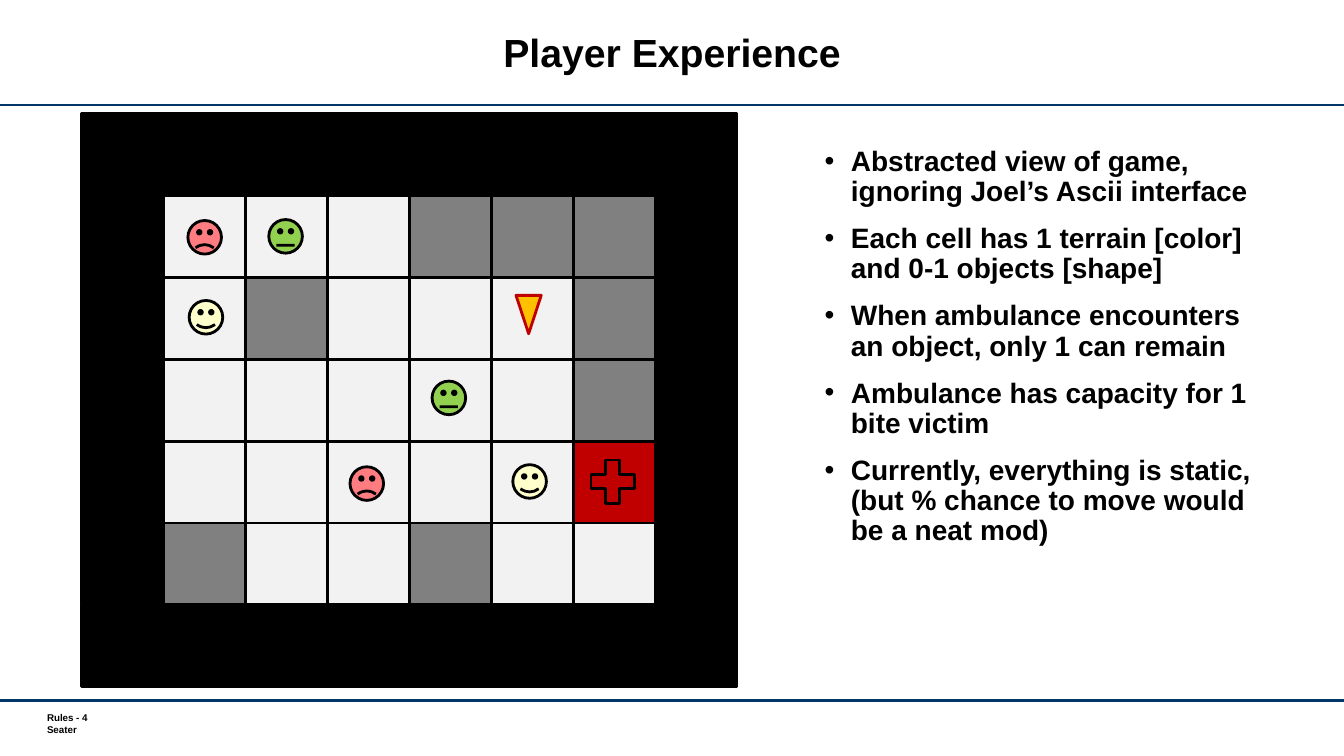
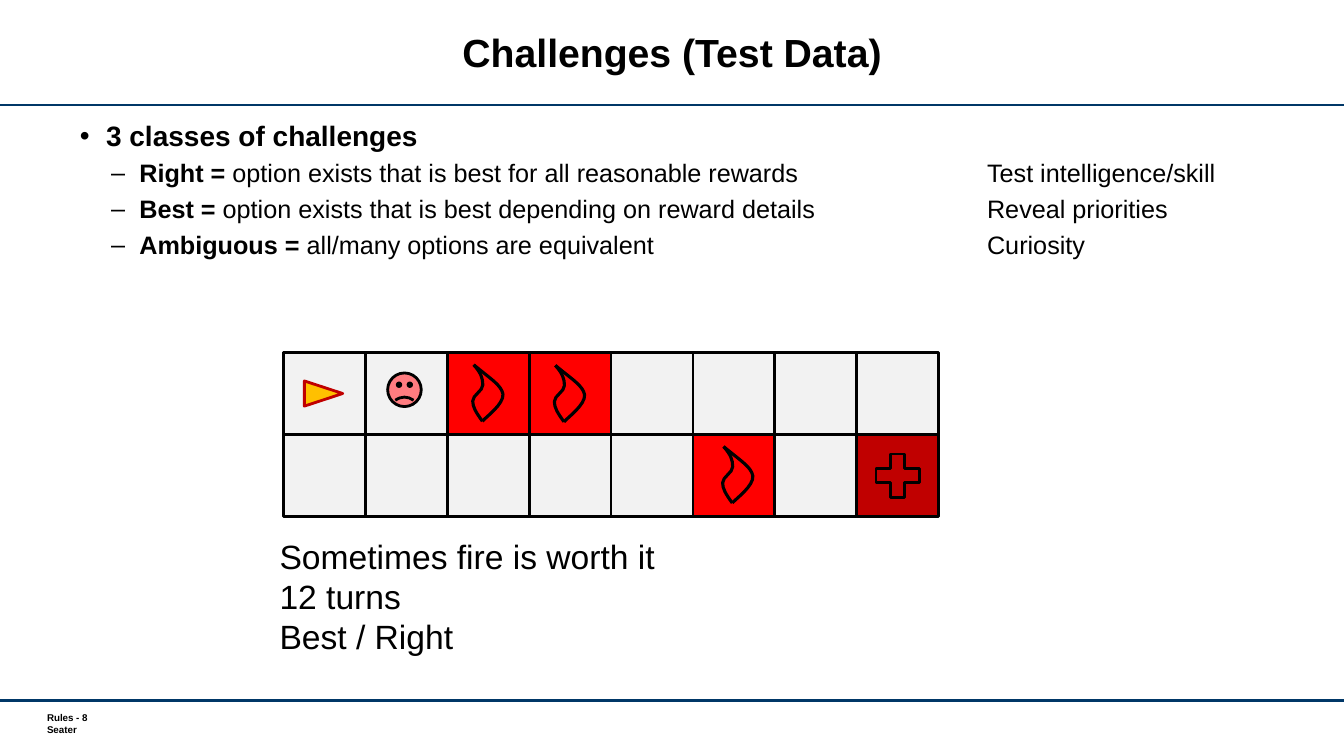
from dataclasses import dataclass

from lxml import etree
from pptx import Presentation
from pptx.dml.color import RGBColor
from pptx.enum import shapes, text
from pptx.oxml import ns
from pptx.util import Pt

KIND = shapes.MSO_SHAPE


@dataclass(frozen=True)
class Theme:
    font: str = "Arial"
    ink: str = "000000"
    rule: str = "003767"
    floor: str = "F2F2F2"
    wall: str = "808080"
    fire: str = "FF0000"
    clinic: str = "C00000"
    car: str = "FFC000"
    sick: str = "FF7C80"
    calm: str = "92D050"
    glad: str = "FFFFCC"
    title: float = 28
    note: float = 24
    body: float = 20
    sub: float = 18
    foot: float = 7
    line: float = 2
    rim: float = 1.75
    flame: float = 2.25


T = Theme()
WIDE, HIGH = 960, 540
CELL = 58.5
TILES = {"#": T.ink, ".": T.floor, "w": T.wall, "f": T.fire, "c": T.clinic}
# Mood: fill and bend of the mouth
MOODS = {"sad": (T.sick, -0.047), "flat": (T.calm, 0), "glad": (T.glad, 0.047)}

# Flame strokes in hundredths of a point: a start, then cubic curves
# of three points each
LEFT = [(70, 0), (580, 580), (720, 940), (720, 1440), (720, 1870),
        (0, 2160), (0, 2590), (0, 3020), (220, 3380), (690, 4030)]
RIGHT = [(70, 0), (1370, 1080), (2020, 1440), (2160, 2090),
         (2230, 2810), (940, 3740), (690, 4030)]


def rgb(code):
    return RGBColor.from_string(code)


def child(parent, tag, **attrs):
    return etree.SubElement(parent, ns.qn(tag), **attrs)


# Text
def box(page, at, pad=None):
    frame = page.shapes.add_textbox(*map(Pt, at)).text_frame
    frame.word_wrap = True
    if pad is not None:
        frame.margin_left = frame.margin_right = Pt(pad)
        frame.margin_top = frame.margin_bottom = Pt(pad)
    return frame


def para(frame, runs, size):
    """Add a paragraph from (words, bold) runs."""
    first = frame.paragraphs[0]
    item = frame.add_paragraph() if first.runs else first
    for words, bold in runs:
        run = item.add_run()
        run.text = words
        run.font.name, run.font.size, run.font.bold = T.font, Pt(size), bold
        run.font.color.rgb = rgb(T.ink)
    return item


def bullet(frame, runs, sub=False, stop=None):
    item = para(frame, runs, T.sub if sub else T.body)
    item.level = int(sub)
    item.line_spacing = 0.9
    item.space_before = Pt(6 if sub else 12)
    left, hang = (42.5, 20.2) if sub else (18.7, 18.7)
    prop = item._p.get_or_add_pPr()
    prop.set("marL", str(Pt(left)))
    prop.set("indent", str(-Pt(hang)))
    child(prop, "a:buFont", typeface=T.font)
    child(prop, "a:buChar", char="–" if sub else "•")
    if stop:
        tabs = child(prop, "a:tabLst")
        child(tabs, "a:tab", pos=str(Pt(stop)), algn="l")


# Shared frame: title, rules and footer
def rule(page, y):
    line = page.shapes.add_connector(
        shapes.MSO_CONNECTOR.STRAIGHT, 0, Pt(y), Pt(WIDE), Pt(y))
    line.line.color.rgb = rgb(T.rule)
    line.line.width = Pt(T.rim)
    child(line._element.spPr, "a:effectLst")


def start(deck, title, num):
    page = deck.slides.add_slide(deck.slide_layouts[6])
    rule(page, 75)
    rule(page, 500.4)
    foot = box(page, (33.6, 508.3, 114.5, 17.3), pad=0)
    for words in (f"Rules - {num}", "Seater"):
        para(foot, [(words, True)], T.foot)
    head = box(page, (99, 7.9, 762, 64.1))
    head.vertical_anchor = text.MSO_ANCHOR.MIDDLE
    item = para(head, [(title, True)], T.title)
    item.alignment = text.PP_ALIGN.CENTER
    item.line_spacing = Pt(T.title)
    return page


# Board and its pieces
def piece(page, kind, at, fill, line=T.ink):
    shape = page.shapes.add_shape(kind, *map(Pt, at))
    shape.shadow.inherit = False
    shape.fill.solid()
    shape.fill.fore_color.rgb = rgb(fill)
    shape.line.color.rgb = rgb(line)
    shape.line.width = Pt(T.line)
    return shape


def board(page, x, y, rows):
    for r, row in enumerate(rows):
        for c, tile in enumerate(row):
            at = (x + c * CELL, y + r * CELL, CELL, CELL)
            piece(page, KIND.RECTANGLE, at, TILES[tile])


def face(page, x, y, mood):
    fill, bend = MOODS[mood]
    shape = piece(page, KIND.SMILEY_FACE, (x, y, 24, 24), fill)
    shape.adjustments[0] = bend


def car(page, x, y, turn):
    shape = piece(page, KIND.ISOSCELES_TRIANGLE, (x, y, 18, 27.4),
                  T.car, T.clinic)
    shape.rotation = turn


def cross(page, x, y):
    piece(page, KIND.MATH_PLUS, (x, y, 42, 42), T.clinic)


def bend(shape):
    """Turn each three line segments into one cubic curve."""
    lines = list(shape._element.iter(ns.qn("a:lnTo")))
    for i in range(0, len(lines), 3):
        cubic = etree.Element(ns.qn("a:cubicBezTo"))
        lines[i].addprevious(cubic)
        for line in lines[i:i + 3]:
            cubic.append(line[0])
            line.getparent().remove(line)


def flame(page, x, y):
    group = page.shapes.add_group_shape()
    for dots in (LEFT, RIGHT):
        pen = group.shapes.build_freeform(*dots[0], scale=Pt(0.01))
        pen.add_line_segments(dots[1:], close=False)
        shape = pen.convert_to_shape(Pt(x), Pt(y))
        bend(shape)
        shape.shadow.inherit = False
        shape.fill.background()
        shape.line.color.rgb = rgb(T.ink)
        shape.line.width = Pt(T.flame)


# Slides
def player(deck):
    page = start(deck, "Player Experience", 4)
    board(page, 58.5, 81.1, ["########", "#...www#", "#.w...w#", "#.....w#",
                             "#.....c#", "#w..w..#", "########"])
    for x, y, mood in ((250, 333.4, "sad"), (366.3, 331.9, "glad"),
                       (308.6, 272.2, "flat"), (192, 156.8, "flat"),
                       (134.2, 157.5, "sad"), (135.1, 214.6, "glad")):
        face(page, x, y, mood)
    car(page, 368.6, 211, 180)
    cross(page, 416.6, 323.1)
    body = box(page, (582, 101.5, 328.3, 380.2))
    for words in (
            "Abstracted view of game, ignoring Joel’s Ascii interface",
            "Each cell has 1 terrain [color] and 0-1 objects [shape]",
            "When ambulance encounters an object, only 1 can remain",
            "Ambulance has capacity for 1 bite victim",
            "Currently, everything is static, (but % chance to move would "
            "be a neat mod)"):
        bullet(body, [(words, True)])


def tests(deck):
    page = start(deck, "Challenges (Test Data)", 8)
    board(page, 202.5, 252, ["..ff....", ".....f.c"])
    car(page, 222.1, 267.4, 90)
    cross(page, 620.2, 318.8)
    face(page, 276.9, 266.4, "sad")
    for x, y in ((516.2, 319), (337.7, 260.6), (396, 261)):
        flame(page, x, y)
    note = box(page, (192.6, 379.1, 288, 94.3))
    for words in ("Sometimes fire is worth it", "12 turns", "Best / Right"):
        para(note, [(words, False)], T.note)
    body = box(page, (50, 84, 835.2, 105.8))
    bullet(body, [("3 classes of challenges", True)])
    for name, sense, goal in (
            ("Right", "option exists that is best for all reasonable rewards",
             "Test intelligence/skill"),
            ("Best", "option exists that is best depending on reward details",
             "Reveal priorities"),
            ("Ambiguous", "all/many options are equivalent", "Curiosity")):
        bullet(body, [(f"{name} = ", True), (f"{sense}\t{goal}", False)],
               sub=True, stop=648)


def main():
    deck = Presentation()
    deck.slide_width, deck.slide_height = Pt(WIDE), Pt(HIGH)
    player(deck)
    tests(deck)
    deck.save("out.pptx")


main()
